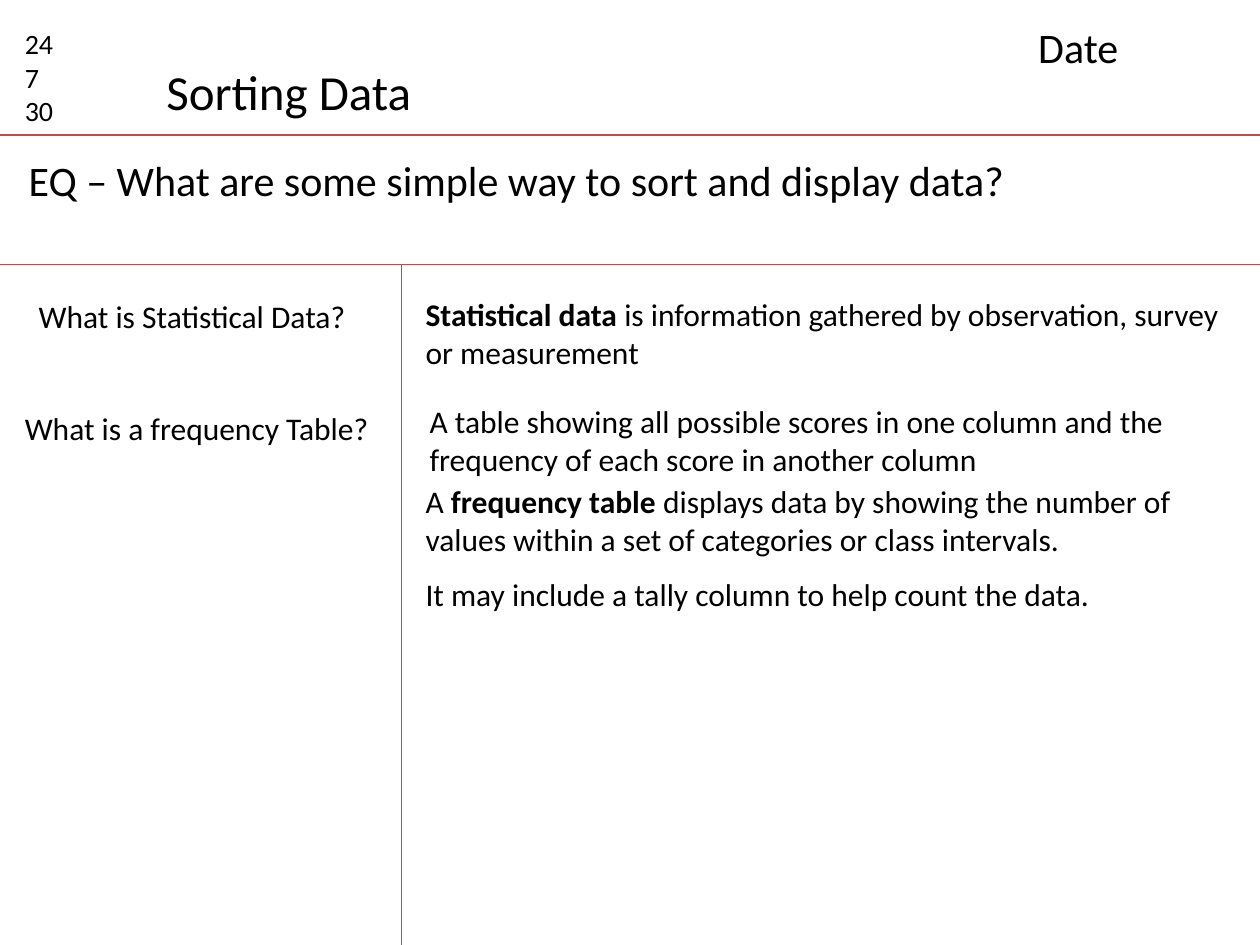
from lxml import etree
from pptx import Presentation
from pptx.dml.color import RGBColor
from pptx.enum.shapes import MSO_CONNECTOR
from pptx.enum.text import MSO_ANCHOR, PP_ALIGN
from pptx.oxml.ns import qn
from pptx.util import Cm, Pt

STRAIGHT = MSO_CONNECTOR.STRAIGHT
TOP = MSO_ANCHOR.TOP
LEFT = PP_ALIGN.LEFT

FONT = "Calibri"
INK = "000000"
RULE = "BF4C48"
SLIDE_W, SLIDE_H = 25.4, 19.05

# Content: a text is a list of paragraphs, a paragraph a list of (words, bold) runs
TITLE = [[("Sorting Data", False)]]
TITLE_BOX = (3.1, 1.12, 5.51, 1.45)

# (paragraphs, box in cm as left, top, width, height, format)
NOTES = [
    ([[("24", False)], [("7", False)], [("30", False)]],
     (0.25, 0.41, 1.6, 2.31), {"size": 16}),
    ([[("Date", False)]], (20.68, 0.3, 4.39, 1.27), {"size": 24}),
    ([[("EQ – What are some simple way to sort and display data?", False)]],
     (0.33, 3.0, 23.95, 1.27), {"size": 24}),
    # Questions
    ([[("What is Statistical Data?", False)]],
     (0.53, 5.87, 6.76, 1.02), {"wrap": False}),
    ([[("What is a frequency Table?", False)]],
     (0.25, 8.13, 7.52, 1.02), {"wrap": False}),
    # Answers
    ([[("Statistical data ", True),
       ("is information gathered by observation, survey or measurement", False)]],
     (8.33, 5.82, 16.74, 2.57), {}),
    ([[("A table showing all possible scores in one column and the "
        "frequency of each score in another column", False)]],
     (8.41, 7.98, 16.66, 1.8), {}),
    ([[("A ", False), ("frequency table ", True),
       ("displays data by showing the number of values within a set of "
        "categories or class intervals.", False)],
      [("It may include a tally column to help count the data.", False)]],
     (8.33, 9.6, 16.59, 3.68), {"gap": 10}),
]

# Ruled lines of the note page
HEADER_Y, BODY_Y, MARGIN_X = 2.72, 5.33, 8.1
RULES = [
    (0, HEADER_Y, SLIDE_W, HEADER_Y),
    (0, BODY_Y, SLIDE_W, BODY_Y),
    (MARGIN_X, BODY_Y, MARGIN_X, SLIDE_H),
]


def colour(hex_code):
    return RGBColor.from_string(hex_code)


def write(shape, paragraphs, size=18, wrap=True, gap=0):
    frame = shape.text_frame
    frame.word_wrap = wrap
    frame.vertical_anchor = TOP
    for index, runs in enumerate(paragraphs):
        paragraph = frame.add_paragraph() if index else frame.paragraphs[0]
        paragraph.alignment = LEFT
        if index and gap:
            paragraph.space_before = Pt(gap)
        for words, bold in runs:
            run = paragraph.add_run()
            run.text = words
            run.font.name = FONT
            run.font.size = Pt(size)
            run.font.bold = bold
            run.font.color.rgb = colour(INK)


def draw_rule(slide, ends):
    rule = slide.shapes.add_connector(STRAIGHT, *map(Cm, ends))
    rule.line.color.rgb = colour(RULE)
    rule.line.width = Pt(0.75)
    etree.SubElement(rule._element.spPr, qn("a:effectLst"))


def main():
    deck = Presentation()
    deck.slide_width, deck.slide_height = Cm(SLIDE_W), Cm(SLIDE_H)
    slide = deck.slides.add_slide(deck.slide_layouts[5])

    # Page rules
    for ends in RULES:
        draw_rule(slide, ends)

    # Title
    title = slide.shapes.title
    title.left, title.top, title.width, title.height = map(Cm, TITLE_BOX)
    write(title, TITLE, size=28, wrap=False)

    # Notes
    for paragraphs, box, look in NOTES:
        write(slide.shapes.add_textbox(*map(Cm, box)), paragraphs, **look)

    deck.save("out.pptx")


if __name__ == "__main__":
    main()
